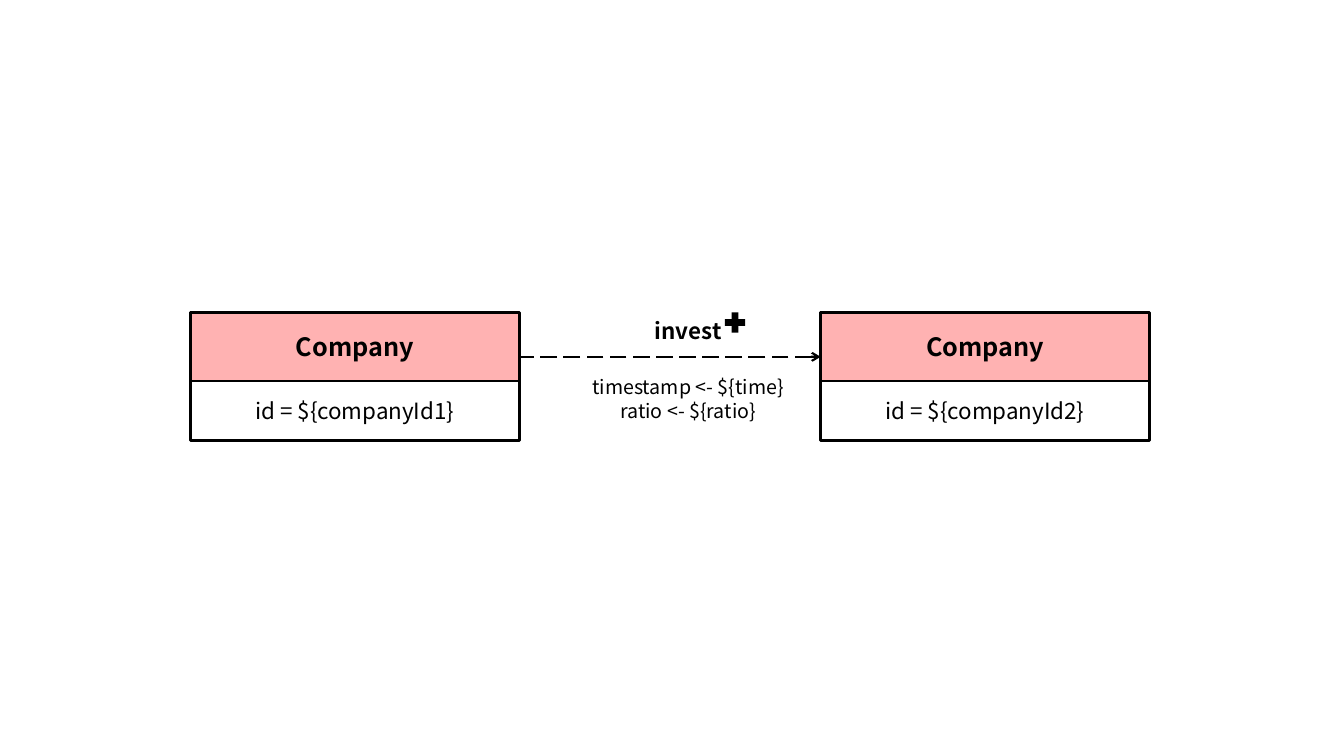
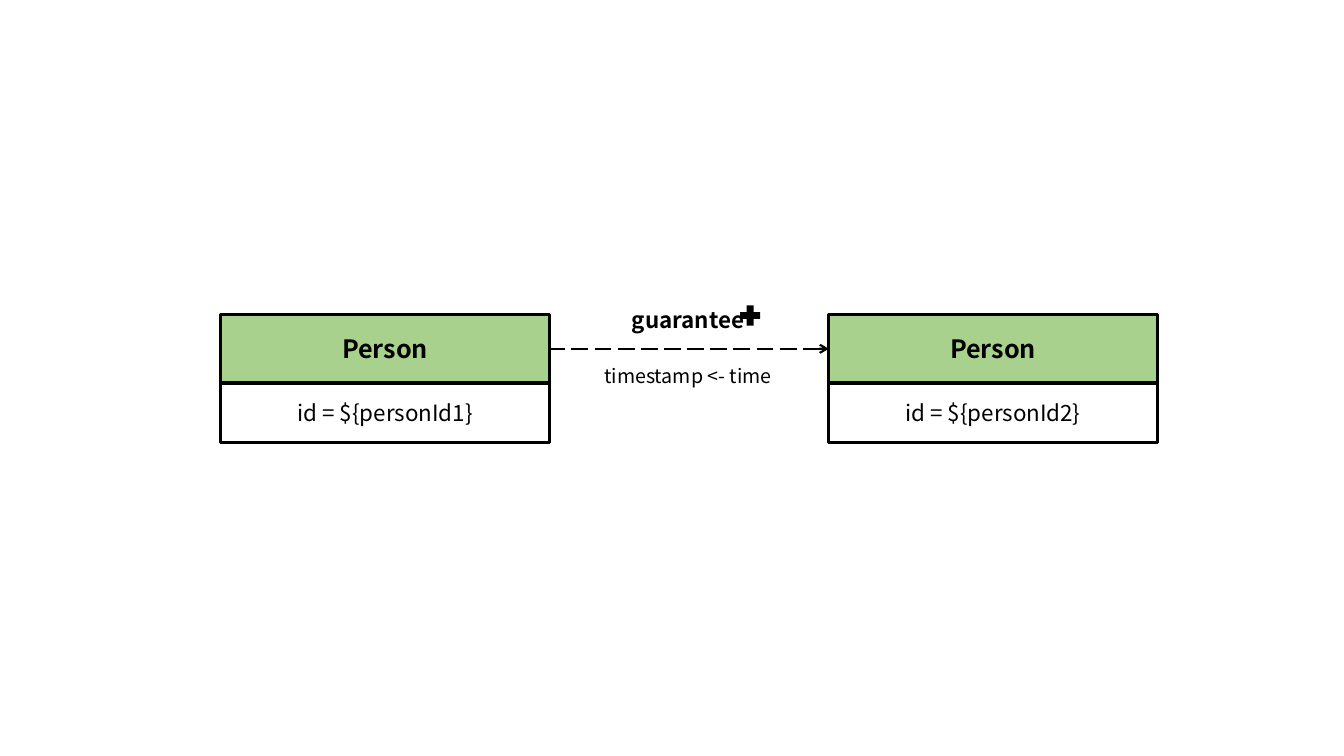
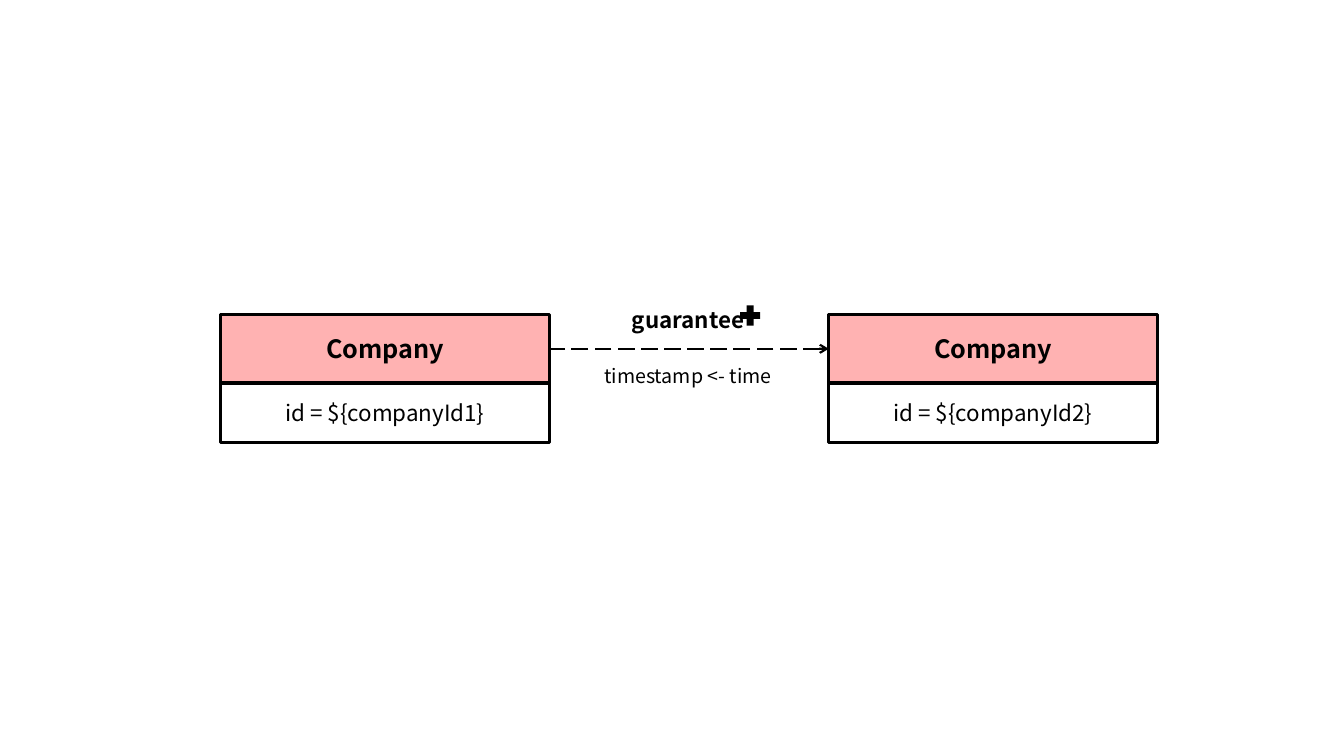
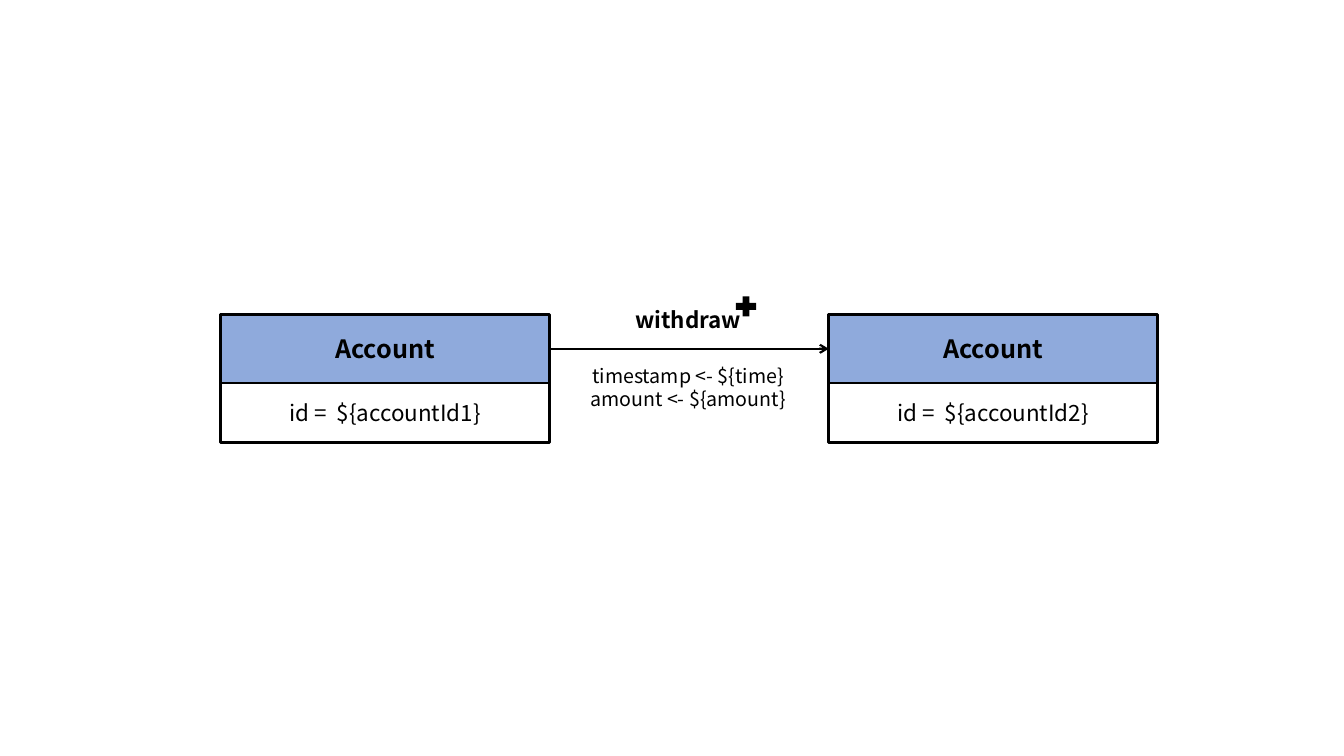
"""Build four slides, each showing one relation between two entities."""
from lxml import etree
from pptx import Presentation
from pptx.dml.color import RGBColor
from pptx.enum.dml import MSO_LINE
from pptx.enum.shapes import MSO_CONNECTOR, MSO_SHAPE
from pptx.enum.text import MSO_ANCHOR, MSO_AUTO_SIZE, PP_ALIGN
from pptx.oxml.ns import qn
from pptx.util import Inches, Pt

RECT, CROSS = MSO_SHAPE.RECTANGLE, MSO_SHAPE.CROSS
STRAIGHT, LONG_DASH = MSO_CONNECTOR.STRAIGHT, MSO_LINE.LONG_DASH
CENTER, MIDDLE, TOP = PP_ALIGN.CENTER, MSO_ANCHOR.MIDDLE, MSO_ANCHOR.TOP
GROW = MSO_AUTO_SIZE.SHAPE_TO_FIT_TEXT

FONT = "Noto Sans CJK SC"
BLACK, RED, GREEN, BLUE = "000000", "FF0000", "A9D18E", "8FAADC"
ENTITY_W, TITLE_H, FIELD_H = 3.26, 0.68, 0.59
NAME_BOX = (5.7, 2.25, 0.37)
DETAIL_BOX = (5.57, 2.51)
DETAIL_DROP = 0.57
PLUS_SIZE = 0.2

PINK = (RED, 30)
WIDE = {"lefts": (1.89, 8.14), "top": 3.1, "arrow_y": 3.54, "name_y": 3.1}
NEAR = {"lefts": (2.19, 8.22), "top": 3.12, "arrow_y": 3.46, "name_y": 2.99}

RELATIONS = [
    {"entity": "Company", "field": "id = ${companyId%d}", "fill": PINK,
     "borders": (2, 2), "relation": "invest", "dashed": True,
     "details": ["timestamp <- ${time}", "ratio <- ${ratio}"],
     "plus": (7.19, 3.1), "layout": WIDE},
    {"entity": "Person", "field": "id = ${personId%d}", "fill": (GREEN, 100),
     "borders": (2.25, 2.25), "relation": "guarantee", "dashed": True,
     "details": ["timestamp <- time"],
     "plus": (7.34, 3.03), "layout": NEAR},
    {"entity": "Company", "field": "id = ${companyId%d}", "fill": PINK,
     "borders": (2, 2.25), "relation": "guarantee", "dashed": True,
     "details": ["timestamp <- time"],
     "plus": (7.34, 3.03), "layout": NEAR},
    {"entity": "Account", "field": "id =  ${accountId%d}", "fill": (BLUE, 100),
     "borders": (2, 2), "relation": "withdraw", "dashed": False,
     "details": ["timestamp <- ${time}", "amount <- ${amount}"],
     "plus": (7.3, 2.94), "layout": NEAR},
]


def color(hex_value):
    return RGBColor.from_string(hex_value)


def write(shape, lines, size, bold=False, anchor=MIDDLE):
    frame = shape.text_frame
    frame.text = "\n".join(lines)
    frame.word_wrap = True
    frame.vertical_anchor = anchor
    for paragraph in frame.paragraphs:
        paragraph.alignment = CENTER
        for run in paragraph.runs:
            run.font.name = FONT
            run.font.size = Pt(size)
            run.font.bold = bold
            run.font.color.rgb = color(BLACK)


def add_cell(slide, left, top, height, border, text, size, fill=None, bold=False):
    cell = slide.shapes.add_shape(
        RECT, Inches(left), Inches(top), Inches(ENTITY_W), Inches(height))
    cell.shadow.inherit = False
    cell.line.color.rgb = color(BLACK)
    cell.line.width = Pt(border)
    if fill is None:
        cell.fill.background()
    else:
        hue, opacity = fill
        cell.fill.solid()
        cell.fill.fore_color.rgb = color(hue)
        if opacity < 100:
            srgb = cell.fill._xPr.find(qn("a:solidFill")).find(qn("a:srgbClr"))
            etree.SubElement(srgb, qn("a:alpha")).set("val", str(opacity * 1000))
    write(cell, [text], size, bold)


def add_label(slide, left, top, width, height, lines, size, bold=False):
    label = slide.shapes.add_textbox(
        Inches(left), Inches(top), Inches(width), Inches(height))
    write(label, lines, size, bold, TOP)
    label.text_frame.auto_size = GROW


def add_arrow(slide, source_x, target_x, y, dashed):
    arrow = slide.shapes.add_connector(
        STRAIGHT, Inches(target_x), Inches(y), Inches(source_x), Inches(y))
    arrow.line.color.rgb = color(BLACK)
    arrow.line.width = Pt(1.5)
    if dashed:
        arrow.line.dash_style = LONG_DASH
    etree.SubElement(arrow.line._get_or_add_ln(), qn("a:headEnd")).set("type", "arrow")
    etree.SubElement(arrow._element.spPr, qn("a:effectLst"))


def add_plus(slide, left, top):
    plus = slide.shapes.add_shape(
        CROSS, Inches(left), Inches(top), Inches(PLUS_SIZE), Inches(PLUS_SIZE))
    plus.adjustments[0] = 0.33
    plus.shadow.inherit = False
    plus.fill.solid()
    plus.fill.fore_color.rgb = color(BLACK)
    plus.line.fill.background()


def add_relation(slide, item):
    layout = item["layout"]
    source_left, target_left = layout["lefts"]
    title_border, field_border = item["borders"]
    for number, left in enumerate(layout["lefts"], 1):
        add_cell(slide, left, layout["top"], TITLE_H, title_border,
                 item["entity"], 18, item["fill"], True)
        add_cell(slide, left, layout["top"] + TITLE_H, FIELD_H, field_border,
                 item["field"] % number, 16)
    add_arrow(slide, source_left + ENTITY_W, target_left,
              layout["arrow_y"], item["dashed"])
    name_left, name_width, name_height = NAME_BOX
    add_label(slide, name_left, layout["name_y"], name_width, name_height,
              [item["relation"]], 16, True)
    detail_left, detail_width = DETAIL_BOX
    detail_height = 0.1 + 0.24 * len(item["details"])
    add_label(slide, detail_left, layout["name_y"] + DETAIL_DROP, detail_width,
              detail_height, item["details"], 14)
    add_plus(slide, *item["plus"])


deck = Presentation()
deck.slide_width, deck.slide_height = Inches(13.33), Inches(7.5)
for relation in RELATIONS:
    add_relation(deck.slides.add_slide(deck.slide_layouts[6]), relation)
deck.save("out.pptx")
